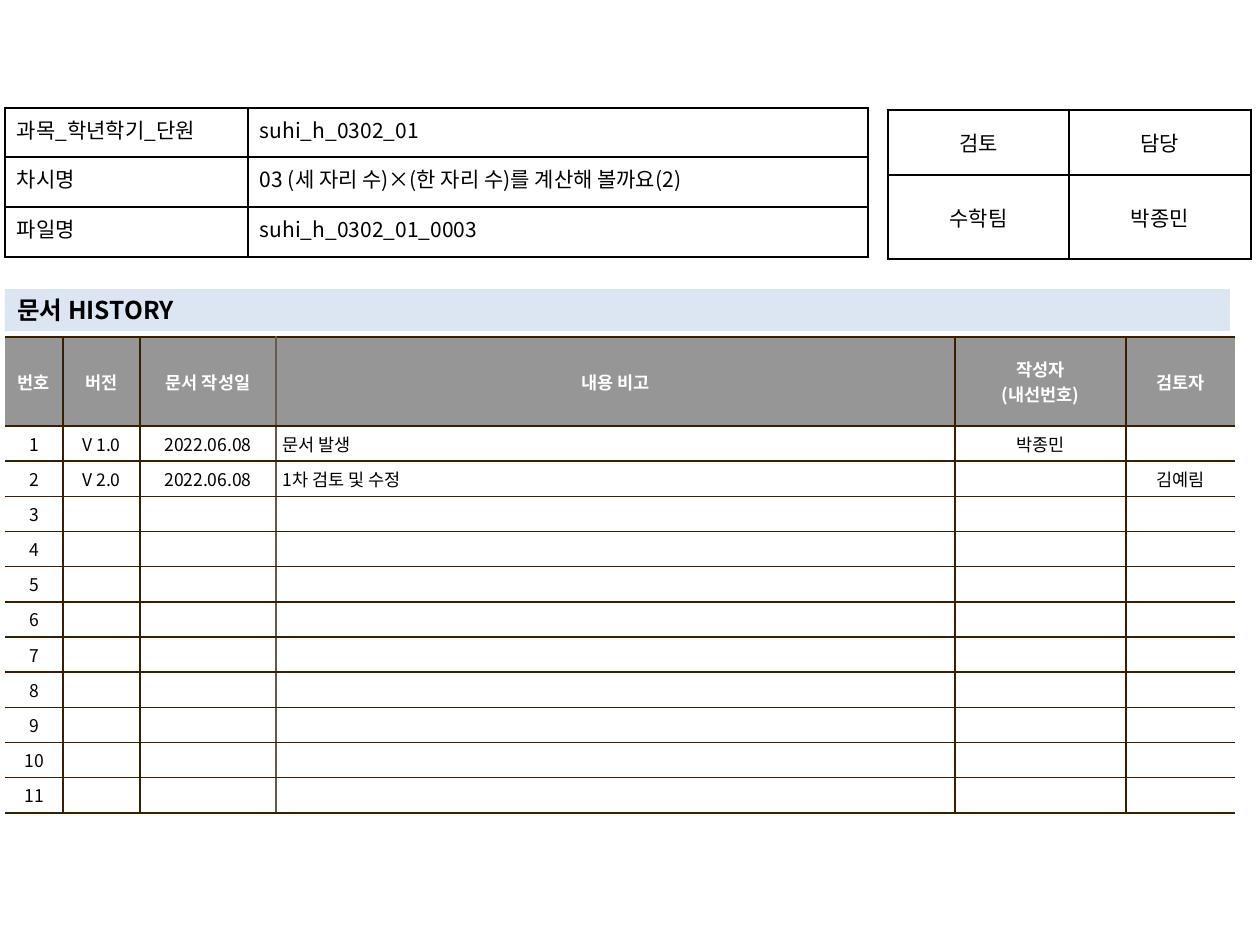
from lxml import etree
from pptx import Presentation
from pptx.dml.color import RGBColor
from pptx.enum.shapes import MSO_SHAPE
from pptx.enum.text import MSO_ANCHOR, PP_ALIGN
from pptx.oxml.ns import qn
from pptx.util import Pt

PX = 914400 // 126
FONT = "Noto Sans CJK KR"
BLACK = RGBColor(0x00, 0x00, 0x00)
WHITE = RGBColor(0xFF, 0xFF, 0xFF)
GRAY = RGBColor(0x96, 0x96, 0x96)
PALE_BLUE = RGBColor(0xDC, 0xE6, 0xF2)
BROWN = RGBColor(0x36, 0x20, 0x00)
TAUPE = RGBColor(0x64, 0x5B, 0x4C)
RECT = MSO_SHAPE.RECTANGLE
TOP, MIDDLE = MSO_ANCHOR.TOP, MSO_ANCHOR.MIDDLE
LEFT, CENTER, JUSTIFY = PP_ALIGN.LEFT, PP_ALIGN.CENTER, PP_ALIGN.JUSTIFY

TITLE = "문서 HISTORY"
HISTORY_HEAD = ["번호", "버전", "문서 작성일", "내용 비고", "작성자\n(내선번호)", "검토자"]
HISTORY_ENTRIES = [
    ["V 1.0", "2022.06.08", "문서 발생", "박종민", ""],
    ["V 2.0", "2022.06.08", "1차 검토 및 수정", "", "김예림"],
]
HISTORY_COUNT = 11
HISTORY_COLS = [58, 77, 136, 679, 171, 109]
NOTE_COL = 3
APPROVAL = [["검토", "담당"], ["수학팀", "박종민"]]
LESSON = [
    ["과목_학년학기_단원", "suhi_h_0302_01"],
    ["차시명", "03 (세 자리 수)×(한 자리 수)를 계산해 볼까요(2)"],
    ["파일명", "suhi_h_0302_01_0003"],
]


def style_text(tf, size, color, bold, align):
    """Format every paragraph and run of a text frame."""
    for p in tf.paragraphs:
        p.alignment = align
        if not p.runs:
            p._p.get_or_add_endParaRPr().set("sz", str(size * 100))
        for r in p.runs:
            r.font.size, r.font.bold, r.font.name = Pt(size), bold, FONT
            r.font.color.rgb = color
            etree.SubElement(r._r.get_or_add_rPr(), qn("a:ea"), typeface=FONT)


def set_border(cell, side, color):
    """Draw one side of a cell, or hide it when the color is None."""
    ln = etree.SubElement(cell._tc.get_or_add_tcPr(), qn("a:ln" + side), w=str(Pt(1)))
    if color is None:
        etree.SubElement(ln, qn("a:noFill"))
    else:
        fill = etree.SubElement(ln, qn("a:solidFill"))
        etree.SubElement(fill, qn("a:srgbClr"), val=str(color))


def add_grid(slide, x, y, cols, rows, texts, margins, anchor):
    """Add an unstyled table holding the texts and return it."""
    size = [v * PX for v in (x, y, sum(cols), sum(rows))]
    table = slide.shapes.add_table(len(rows), len(cols), *size).table
    table.first_row = table.horz_banding = False
    for col, width in zip(table.columns, cols):
        col.width = width * PX
    for row, height, values in zip(table.rows, rows, texts):
        row.height = height * PX
        for cell, value in zip(row.cells, values):
            cell.text_frame.text = value
            cell.vertical_anchor = anchor
            cell.margin_left = cell.margin_right = margins[0] * PX
            cell.margin_top = cell.margin_bottom = margins[1] * PX
    return table


def add_form(slide, x, y, cols, rows, texts, anchor, aligns):
    """Add a black-ruled form table with one alignment per column."""
    table = add_grid(slide, x, y, cols, rows, texts, (12, 6), anchor)
    for row in table.rows:
        for cell, align in zip(row.cells, aligns):
            for side in "LRTB":
                set_border(cell, side, BLACK)
            cell.fill.background()
            style_text(cell.text_frame, 12, BLACK, False, align)


def add_history(slide):
    """Add the numbered revision history table, open at both sides."""
    blank = [""] * (len(HISTORY_COLS) - 1)
    entries = HISTORY_ENTRIES + [blank] * (HISTORY_COUNT - len(HISTORY_ENTRIES))
    texts = [HISTORY_HEAD] + [[str(n)] + e for n, e in enumerate(entries, 1)]
    rows = [89] + [35] * HISTORY_COUNT
    table = add_grid(slide, 5, 337, HISTORY_COLS, rows, texts, (7, 5), MIDDLE)
    edges = [None] + [BROWN] * (len(HISTORY_COLS) - 1) + [None]
    edges[NOTE_COL] = TAUPE
    for i, row in enumerate(table.rows):
        head = i == 0
        for j, cell in enumerate(row.cells):
            for side, color in zip("LRTB", (edges[j], edges[j + 1], BROWN, BROWN)):
                set_border(cell, side, color)
            cell.fill.solid()
            cell.fill.fore_color.rgb = GRAY if head else WHITE
            align = LEFT if j == NOTE_COL and not head else CENTER
            style_text(cell.text_frame, 10, WHITE if head else BLACK, head, align)


def add_title(slide):
    """Add the pale heading bar above the history table."""
    sp = slide.shapes.add_shape(RECT, *[v * PX for v in (5, 289, 1225, 42)])
    sp.shadow.inherit = False
    sp.fill.solid()
    sp.fill.fore_color.rgb = PALE_BLUE
    sp.line.fill.background()
    tf = sp.text_frame
    tf.text = TITLE
    tf.word_wrap = True
    tf.vertical_anchor = MIDDLE
    style_text(tf, 14, BLACK, True, LEFT)


def main():
    """Build and save the slide."""
    prs = Presentation()
    prs.slide_width, prs.slide_height = 1260 * PX, 945 * PX
    slide = prs.slides.add_slide(prs.slide_layouts[6])
    add_history(slide)
    add_form(slide, 888, 110, [181, 182], [65, 84], APPROVAL, MIDDLE, [CENTER, CENTER])
    add_title(slide)
    add_form(slide, 5, 108, [243, 620], [49, 50, 50], LESSON, TOP, [JUSTIFY, LEFT])
    prs.save("out.pptx")


if __name__ == "__main__":
    main()
